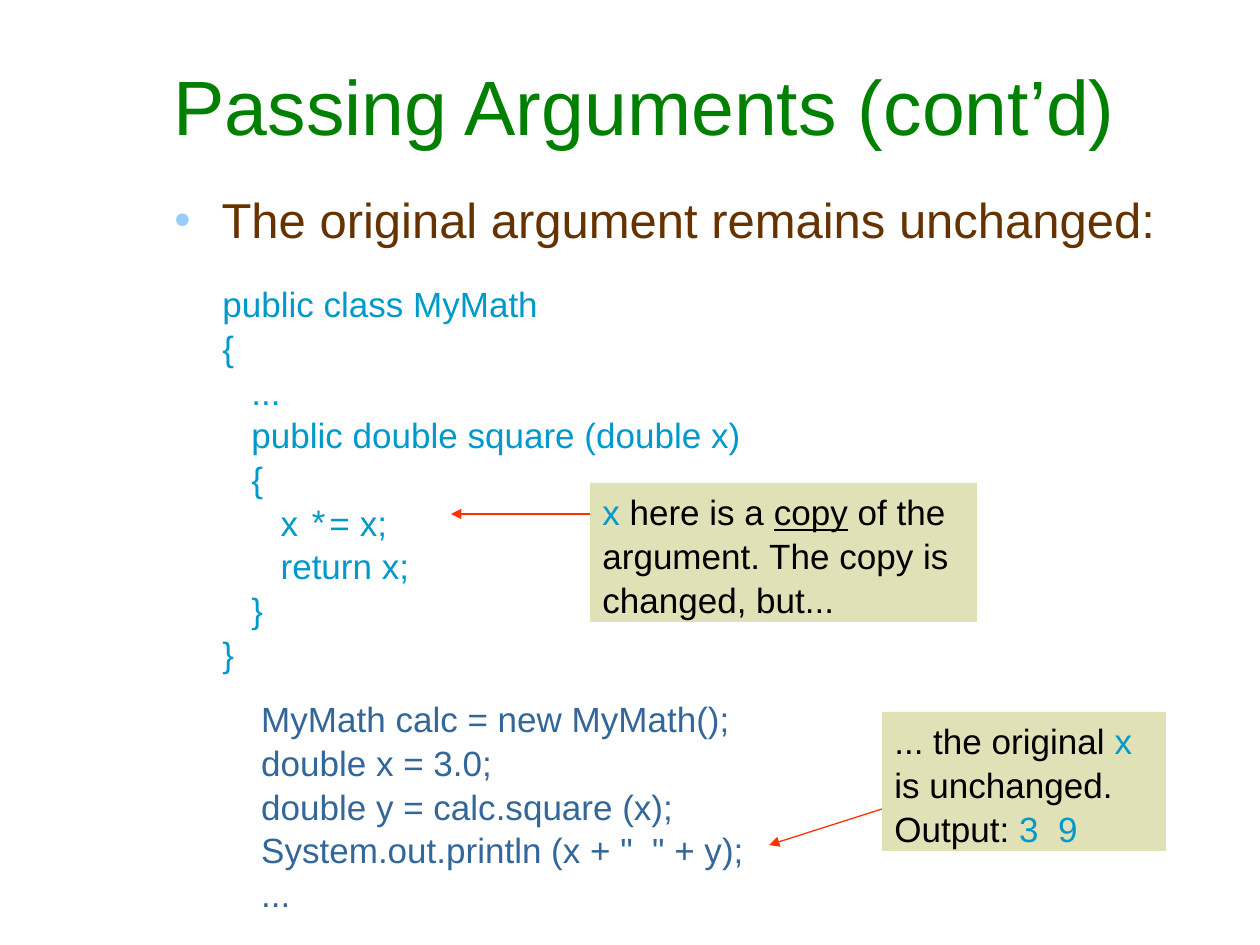
from lxml.etree import SubElement
from pptx import Presentation
from pptx.dml.color import RGBColor
from pptx.enum.shapes import MSO_CONNECTOR, MSO_SHAPE
from pptx.enum.text import MSO_ANCHOR, MSO_AUTO_SIZE, PP_ALIGN
from pptx.oxml.ns import qn
from pptx.util import Pt

PX = 914400 / 126

GREEN = RGBColor(0x00, 0x80, 0x00)
BROWN = RGBColor(0x66, 0x33, 0x00)
CYAN = RGBColor(0x00, 0x99, 0xCC)
BLUE = RGBColor(0x33, 0x66, 0x99)
BLACK = RGBColor(0x00, 0x00, 0x00)
RED = RGBColor(0xFF, 0x33, 0x00)
KHAKI = RGBColor(0xE1, 0xE1, 0xB7)
BULLET_COLOR = "99CCFF"

# A line is a list of runs: plain text, or (text, font values).
TITLE = [["Passing Arguments (cont’d)"]]
BULLET = [["The original argument remains unchanged:"]]
CLASS_CODE = [
    ["public class MyMath"],
    ["{"],
    ["   ..."],
    ["   public double square (double x)"],
    ["   {"],
    ["      x ", ("*=", {"name": "Courier New"}), " x;"],
    ["      return x;"],
    ["   }"],
    ["}"],
]
CALLING_CODE = [
    ["    MyMath calc = new MyMath();"],
    ["    double x = 3.0;"],
    ["    double y = calc.square (x);"],
    ['    System.out.println (x + "  " + y);'],
    ["    ..."],
]
ORIGINAL_NOTE = [
    ["... the original ", ("x", {"color": CYAN}), " is unchanged."],
    ["Output: ", ("3  9", {"color": CYAN})],
]
COPY_NOTE = [
    [("x", {"color": CYAN}), " here is a ", ("copy", {"underline": True}),
     " of the argument. The copy is changed, but..."],
]

# Boxes are (left, top, width, height) in px.
TITLE_BOX = (161, 42, 1004, 126)
BULLET_BOX = (161, 179, 1071, 96)
CODE_BLOCKS = [
    (CLASS_CODE, (210, 275, 607, 391), CYAN),
    (CALLING_CODE, (210, 690, 607, 223), BLUE),
]
NOTES = [
    (ORIGINAL_NOTE, (882, 712, 284, 139)),
    (COPY_NOTE, (590, 483, 387, 139)),
]
ARROWS = [((590, 514), (451, 514)), ((882, 809), (769, 845))]
HANGING_INDENT = 48


def px(*lengths):
    return [round(length * PX) for length in lengths]


def place(shape, box):
    shape.left, shape.top, shape.width, shape.height = px(*box)


def write(shape, lines, size, color, line_spacing=1.04, anchor=MSO_ANCHOR.TOP):
    frame = shape.text_frame
    frame_format = {"word_wrap": True, "auto_size": MSO_AUTO_SIZE.NONE,
                    "vertical_anchor": anchor}
    for name, value in frame_format.items():
        setattr(frame, name, value)
    for index, runs in enumerate(lines):
        paragraph = frame.paragraphs[0] if index == 0 else frame.add_paragraph()
        paragraph_format = {"alignment": PP_ALIGN.LEFT, "space_before": Pt(0),
                            "line_spacing": line_spacing}
        for name, value in paragraph_format.items():
            setattr(paragraph, name, value)
        for item in runs:
            text, changes = (item, {}) if isinstance(item, str) else item
            run = paragraph.add_run()
            run.text = text
            font_format = {"name": "Arial", "size": Pt(size), "color": color, **changes}
            run.font.color.rgb = font_format.pop("color")
            for name, value in font_format.items():
                setattr(run.font, name, value)


def add_bullet(paragraph):
    properties = paragraph._p.get_or_add_pPr()
    indent, = px(HANGING_INDENT)
    properties.set("marL", str(indent))
    properties.set("indent", str(-indent))
    bullet_color = SubElement(properties, qn("a:buClr"))
    SubElement(bullet_color, qn("a:srgbClr"), val=BULLET_COLOR)
    SubElement(properties, qn("a:buSzPct"), val="60000")
    SubElement(properties, qn("a:buFont"), typeface="Arial")
    SubElement(properties, qn("a:buChar"), char="●")


def add_arrow(slide, start, end):
    arrow = slide.shapes.add_connector(MSO_CONNECTOR.STRAIGHT, *px(*start, *end))
    arrow.line.color.rgb = RED
    arrow.line.width = Pt(0.75)
    SubElement(arrow.line._get_or_add_ln(), qn("a:tailEnd"), type="triangle")
    SubElement(arrow._element.spPr, qn("a:effectLst"))


def main():
    presentation = Presentation()
    presentation.slide_width, presentation.slide_height = px(1260, 945)
    slide = presentation.slides.add_slide(presentation.slide_layouts[1])
    title, body = slide.placeholders

    place(title, TITLE_BOX)
    write(title, TITLE, 44, GREEN, line_spacing=1.0, anchor=MSO_ANCHOR.MIDDLE)

    place(body, BULLET_BOX)
    write(body, BULLET, 28, BROWN)
    body.text_frame.margin_top, = px(8)
    add_bullet(body.text_frame.paragraphs[0])

    for lines, box, color in CODE_BLOCKS:
        write(slide.shapes.add_textbox(*px(*box)), lines, 20, color)

    for lines, box in NOTES:
        note = slide.shapes.add_shape(MSO_SHAPE.RECTANGLE, *px(*box))
        note.shadow.inherit = False
        note.fill.solid()
        note.fill.fore_color.rgb = KHAKI
        note.line.fill.background()
        write(note, lines, 20, BLACK)

    for start, end in ARROWS:
        add_arrow(slide, start, end)

    presentation.save("out.pptx")


if __name__ == "__main__":
    main()
